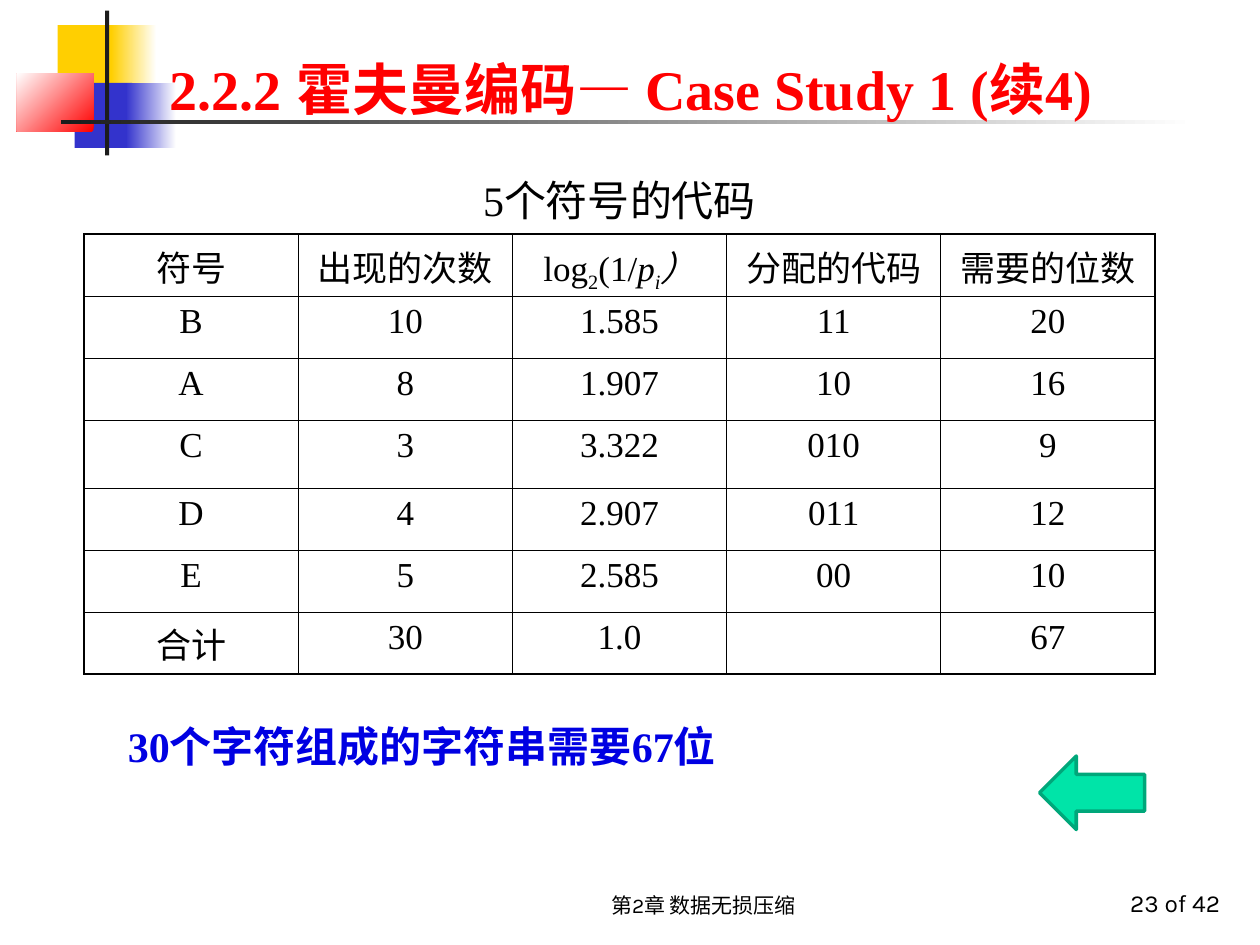
"""Build the slide on the Huffman code of five symbols."""
from pptx import Presentation
from pptx.dml.color import RGBColor as Rgb
from pptx.enum.shapes import MSO_SHAPE as Kind
from pptx.enum.text import MSO_ANCHOR as Anchor, PP_ALIGN as Align
from pptx.oxml.ns import qn
from pptx.util import Inches, Pt
from lxml.etree import SubElement as Sub

HUES = {
    "black": "000000", "white": "FFFFFF", "red": "FF0000", "blue": "0000E2",
    "gold": "FFCF01", "navy": "3333CC", "coal": "1C1C1C",
    "mint": "00E4A8", "green": "00A77A",
}
COLS, ROWS = 120, 90
SERIF, SANS = "Times New Roman", "Karla"
THIN, THICK = 0.45, 1.08
LOG = [("log", {}), ("2", {"sub": True}), ("(1/", {}), ("p", {"italic": True}),
       ("i", {"italic": True, "sub": True}), ("）", {"italic": True})]
CODES = [
    ["符号", "出现的次数", LOG, "分配的代码", "需要的位数"],
    ["B", "10", "1.585", "11", "20"],
    ["A", "8", "1.907", "10", "16"],
    ["C", "3", "3.322", "010", "9"],
    ["D", "4", "2.907", "011", "12"],
    ["E", "5", "2.585", "00", "10"],
    ["合计", "30", "1.0", "", "67"],
]


class Deck:
    """Hold the style and the current slide."""

    def __init__(self):
        self.show = Presentation()
        self.show.slide_width, self.show.slide_height = Inches(10), Inches(7.5)
        self.slide = self.show.slides.add_slide(self.show.slide_layouts[6])
        self.shapes = self.slide.shapes
        self.unit_x = self.show.slide_width / COLS
        self.unit_y = self.show.slide_height / ROWS

    def place(self, x, y, w, h):
        """Turn grid columns and rows into lengths."""
        return (round(x * self.unit_x), round(y * self.unit_y),
                round(w * self.unit_x), round(h * self.unit_y))

    def hue(self, name):
        """Look up a colour."""
        return Rgb.from_string(HUES[name])

    def put(self, para, text, align, size, face=SERIF, hue="black", **more):
        """Fill a paragraph with one or more styled runs."""
        para.alignment = align
        parts = [(text, {})] if isinstance(text, str) else text
        for words, extra in parts:
            run = para.add_run()
            run.text = words
            form = {"size": Pt(size), "name": face, **more, **extra}
            if form.pop("sub", False):
                run.font._element.set("baseline", "-25000")
            for key, val in form.items():
                setattr(run.font, key, val)
            run.font.color.rgb = self.hue(hue)

    def text(self, spot, words, align, size, anchor=Anchor.TOP, **form):
        """Add a wrapped text box."""
        frame = self.shapes.add_textbox(*self.place(*spot)).text_frame
        frame.word_wrap = True
        frame.vertical_anchor = anchor
        self.put(frame.paragraphs[0], words, align, size, **form)

    def shape(self, spot, fill, kind=Kind.RECTANGLE, line=None, width=2, turn=0):
        """Add a preset shape with a plain fill."""
        item = self.shapes.add_shape(kind, *self.place(*spot))
        item.shadow.inherit = False
        item.rotation = turn
        item.fill.solid()
        item.fill.fore_color.rgb = self.hue(fill)
        if line:
            item.line.color.rgb = self.hue(line)
            item.line.width = Pt(width)
        else:
            item.line.fill.background()
        return item

    def fade(self, spot, first, last, angle=180):
        """Add a rectangle that blends two colours."""
        fill = self.shape(spot, first).fill
        fill.gradient()
        fill.gradient_angle = angle
        for stop, name in zip(fill.gradient_stops, (first, last)):
            stop.color.rgb = self.hue(name)

    def edge(self, cell, side, width):
        """Draw one border of a cell."""
        line = Sub(cell._tc.get_or_add_tcPr(), qn(f"a:ln{side}"), w=str(Pt(width)))
        fill = Sub(line, qn("a:solidFill"))
        Sub(fill, qn("a:srgbClr"), val=HUES["black"])

    def table(self, spot, data, tall):
        """Add a ruled table with a heavier outer frame."""
        down, across = len(data), len(data[0])
        grid = self.shapes.add_table(down, across, *self.place(*spot)).table
        grid.first_row = grid.horz_banding = False
        for r, line in enumerate(data):
            grid.rows[r].height = round(tall[r] * self.unit_y)
            for c, words in enumerate(line):
                cell = grid.cell(r, c)
                outer = {"L": c == 0, "R": c == across - 1,
                         "T": r == 0, "B": r == down - 1}
                for side, heavy in outer.items():
                    self.edge(cell, side, THICK if heavy else THIN)
                cell.fill.background()
                if words:
                    self.put(cell.text_frame.paragraphs[0], words, Align.CENTER, 20)


def main():
    """Lay out the slide and save it."""
    deck = Deck()
    deck.shape((5.5, 2.4, 5.8, 6.2), "gold")
    deck.fade((10.6, 2.4, 4.3, 6.2), "white", "gold")
    deck.shape((7.1, 7.9, 5.5, 6.2), "navy")
    deck.fade((12, 7.9, 4.8, 6.2), "white", "navy")
    deck.fade((1.6, 7, 7.3, 5.5), "red", "white", 135)
    deck.shape((10, 1, 0.4, 13.8), "coal")
    deck.fade((5.8, 11.4, 108, 0.4), "white", "coal")

    low = {"anchor": Anchor.BOTTOM}
    deck.text((48, 82, 38, 6), "第2章 数据无损压缩", Align.CENTER, 12, face=SANS, **low)
    deck.text((15, 2, 102.2, 10.2), "2.2.2 霍夫曼编码— Case Study 1 (续4)",
              Align.LEFT, 32, hue="red", bold=True, **low)
    deck.table((8, 22.3, 102, 41.8), CODES, [5.9] * 3 + [6.5] + [5.9] * 3)
    deck.text((11, 68, 100, 5), "30个字符组成的字符串需要67位",
              Align.LEFT, 24, hue="blue", bold=True)
    deck.text((9, 16, 100, 5), "5个符号的代码", Align.CENTER, 24)
    deck.text((92.4, 82, 25, 6), "23 of 42", Align.RIGHT, 14, face=SANS, **low)
    deck.shape((99, 72, 10, 7), "mint", Kind.RIGHT_ARROW, line="green", turn=180)
    deck.show.save("out.pptx")


if __name__ == "__main__":
    main()
